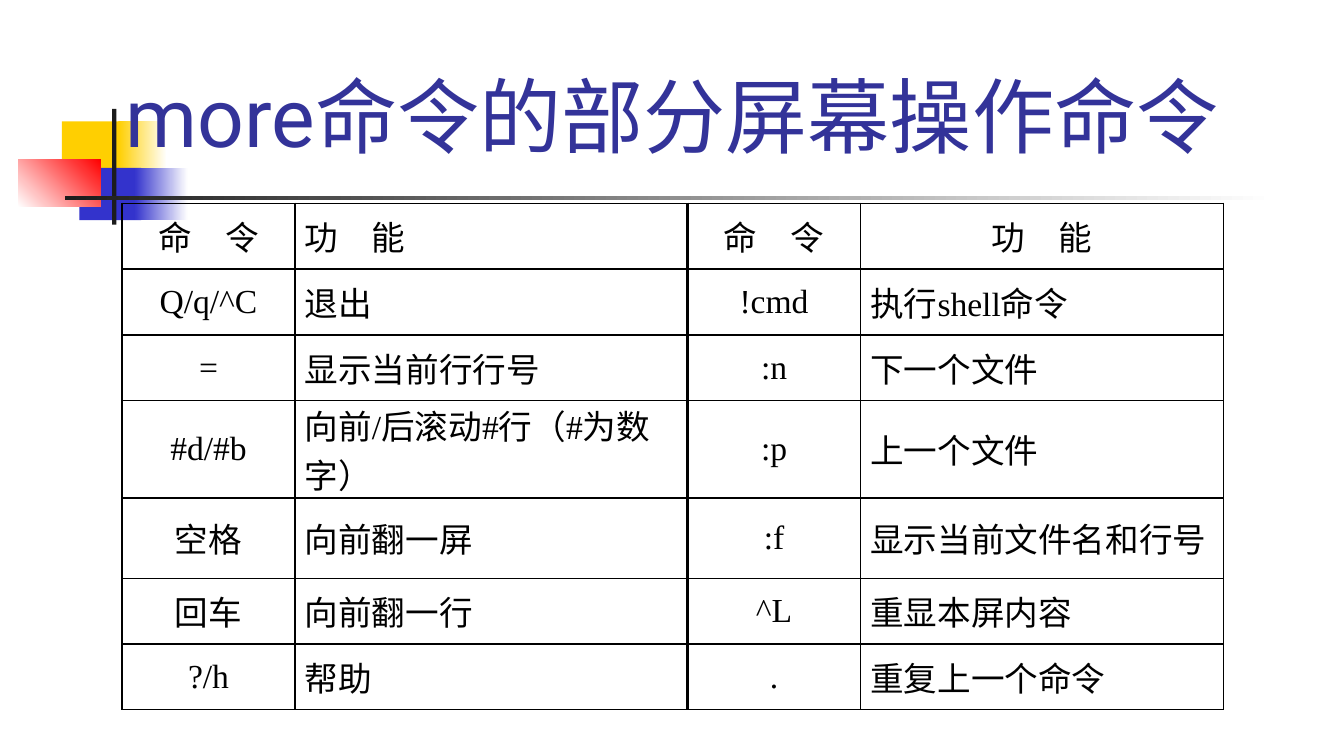
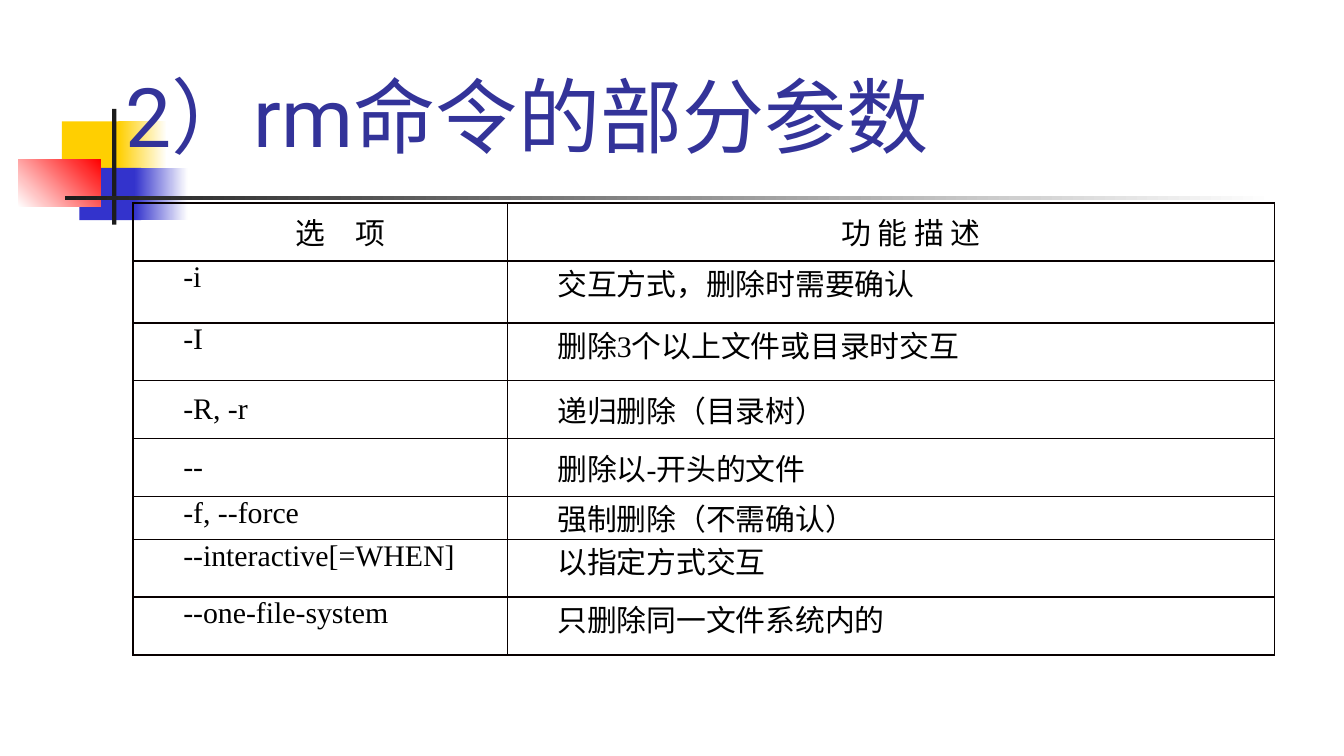
from lxml.etree import SubElement as Sub
from pptx import Presentation
from pptx.dml.color import RGBColor
from pptx.enum.shapes import MSO_SHAPE as Shape
from pptx.enum.text import MSO_ANCHOR as Anchor, MSO_AUTO_SIZE as Fit, PP_ALIGN as Align
from pptx.oxml.ns import qn
from pptx.util import Pt

WHITE = RGBColor(0xFF, 0xFF, 0xFF)
BLACK = RGBColor(0x00, 0x00, 0x00)
INK = RGBColor(0x08, 0x00, 0x00)
GOLD = RGBColor(0xFF, 0xCF, 0x01)
BLUE = RGBColor(0x33, 0x33, 0xCC)
RED = RGBColor(0xFF, 0x00, 0x00)
DARK = RGBColor(0x1C, 0x1C, 0x1C)
NAVY = RGBColor(0x33, 0x33, 0x99)

HEAD_FONT = "Roboto"
BODY_FONT = "Times New Roman"

# Corner motif: left, top, width, height, colours (two make a gradient), angle
MOTIF = [
    (33.2, 65, 34.5, 28, [GOLD], 0),
    (63.4, 65, 26, 28, [GOLD, WHITE], 0),
    (42.6, 90, 33, 28, [BLUE], 0),
    (72, 90, 28.6, 28, [BLUE, WHITE], 0),
    (9.8, 85.4, 44.2, 25.4, [WHITE, RED], 45),
    (60, 58.4, 2.4, 62, [DARK], 0),
    (34.8, 105, 648, 2.2, [DARK, WHITE], 0),
]


class Deck:
    def __init__(self):
        self.prs = Presentation()
        self.prs.slide_width, self.prs.slide_height = Pt(720), Pt(405)
        self.base = self.prs.slide_layouts[5]
        self.slide = None
        self.frame()

    def frame(self):
        """Keep only the title in the layout, and place it."""
        for holder in list(self.base.placeholders):
            if holder.placeholder_format.idx:
                holder.element.getparent().remove(holder.element)
                continue
            holder.left, holder.top = Pt(60), Pt(23.8)
            holder.width, holder.height = Pt(642), Pt(67.6)
            holder.text_frame.vertical_anchor = Anchor.BOTTOM

    def page(self, title):
        first = self.slide is None
        self.slide = self.prs.slides.add_slide(self.base)
        if first:
            for part in MOTIF:
                self.block(*part)
        text = self.slide.shapes.title.text_frame
        text.auto_size = Fit.NONE
        self.put(text.paragraphs[0], title, HEAD_FONT, 44, NAVY)

    def block(self, left, top, width, height, tints, angle):
        """Draw a plain rectangle and move it to the shared layout."""
        box = self.slide.shapes.add_shape(
            Shape.RECTANGLE, Pt(left), Pt(top), Pt(width), Pt(height))
        box.shadow.inherit = False
        box.line.fill.background()
        if len(tints) == 1:
            box.fill.solid()
            box.fill.fore_color.rgb = tints[0]
        else:
            box.fill.gradient()
            box.fill.gradient_angle = angle
            for stop, tint in zip(box.fill.gradient_stops, tints):
                stop.color.rgb = tint
        self.base.shapes.element.append(box.element)

    def put(self, para, words, font, size, tint, align=Align.LEFT):
        para.alignment = align
        run = para.add_run()
        run.text = words
        run.font.name, run.font.size = font, Pt(size)
        run.font.color.rgb = tint

    def border(self, cell, tint, wide):
        """Rule all four sides; wide names the heavier ones."""
        props = cell._tc.get_or_add_tcPr()
        for side in "LRTB":
            width = Pt(1.5 if side in wide else 1)
            line = Sub(props, qn("a:ln" + side), w=str(width))
            fill = Sub(line, qn("a:solidFill"))
            Sub(fill, qn("a:srgbClr"), val=str(tint))

    def table(self, left, top, cols, highs, data, size, tint,
              center, middle, wide=None, indent=0):
        """center(row, col) and middle(row) tell how cells align."""
        shape = self.slide.shapes.add_table(
            len(highs), len(cols), Pt(left), Pt(top), Pt(sum(cols)), Pt(sum(highs)))
        grid = shape.table
        grid.first_row = grid.horz_banding = False
        for col, width in zip(grid.columns, cols):
            col.width = Pt(width)
        for row, high in zip(grid.rows, highs):
            row.height = Pt(high)
        for r, line in enumerate(data):
            for c, words in enumerate(line):
                cell = grid.cell(r, c)
                cell.margin_left = cell.margin_right = Pt(5.2)
                cell.margin_top = cell.margin_bottom = 0
                cell.vertical_anchor = Anchor.MIDDLE if middle(r) else Anchor.TOP
                self.border(cell, tint, (wide or {}).get(c, ""))
                cell.fill.background()
                para = cell.text_frame.paragraphs[0]
                if indent:
                    para._p.get_or_add_pPr().set("indent", str(Pt(indent)))
                align = Align.CENTER if center(r, c) else Align.LEFT
                self.put(para, words, BODY_FONT, size, BLACK, align)


MORE = [
    ("命　令", "功　能", "命　令", "功　能"),
    ("Q/q/^C", "退出", "!cmd", "执行shell命令"),
    ("=", "显示当前行行号", ":n", "下一个文件"),
    ("#d/#b", "向前/后滚动#行（#为数字）", ":p", "上一个文件"),
    ("空格", "向前翻一屏", ":f", "显示当前文件名和行号"),
    ("回车", "向前翻一行", "^L", "重显本屏内容"),
    ("?/h", "帮助", ".", "重复上一个命令"),
]
REMOVE = [
    ("选　项", "功 能 描 述"),
    ("-i", "交互方式，删除时需要确认"),
    ("-I", "删除3个以上文件或目录时交互"),
    ("-R, -r", "递归删除（目录树）"),
    ("--", "删除以-开头的文件"),
    ("-f, --force", "强制删除（不需确认）"),
    ("--interactive[=WHEN]", "以指定方式交互"),
    ("--one-file-system", "只删除同一文件系统内的"),
]


def main():
    deck = Deck()

    # Screen keys of more
    deck.page("more命令的部分屏幕操作命令")
    deck.table(65.3, 109, [92.8, 210.2, 92.8, 194.4],
               [35.2] * 3 + [43.2] * 2 + [35.2] * 2, MORE, 18, BLACK,
               center=lambda r, c: c % 2 == 0 or (r, c) == (0, 3),
               middle=lambda r: True, wide={1: "R", 2: "L"})

    # Options of rm
    deck.page("2）rm命令的部分参数")
    deck.table(71.4, 108.8, [200.4, 411],
               [31, 33.2, 31, 31, 31, 21, 31, 31], REMOVE, 16, INK,
               center=lambda r, c: r == 0,
               middle=lambda r: r in (0, 3, 4), indent=21.6)

    deck.prs.save("out.pptx")


if __name__ == "__main__":
    main()
